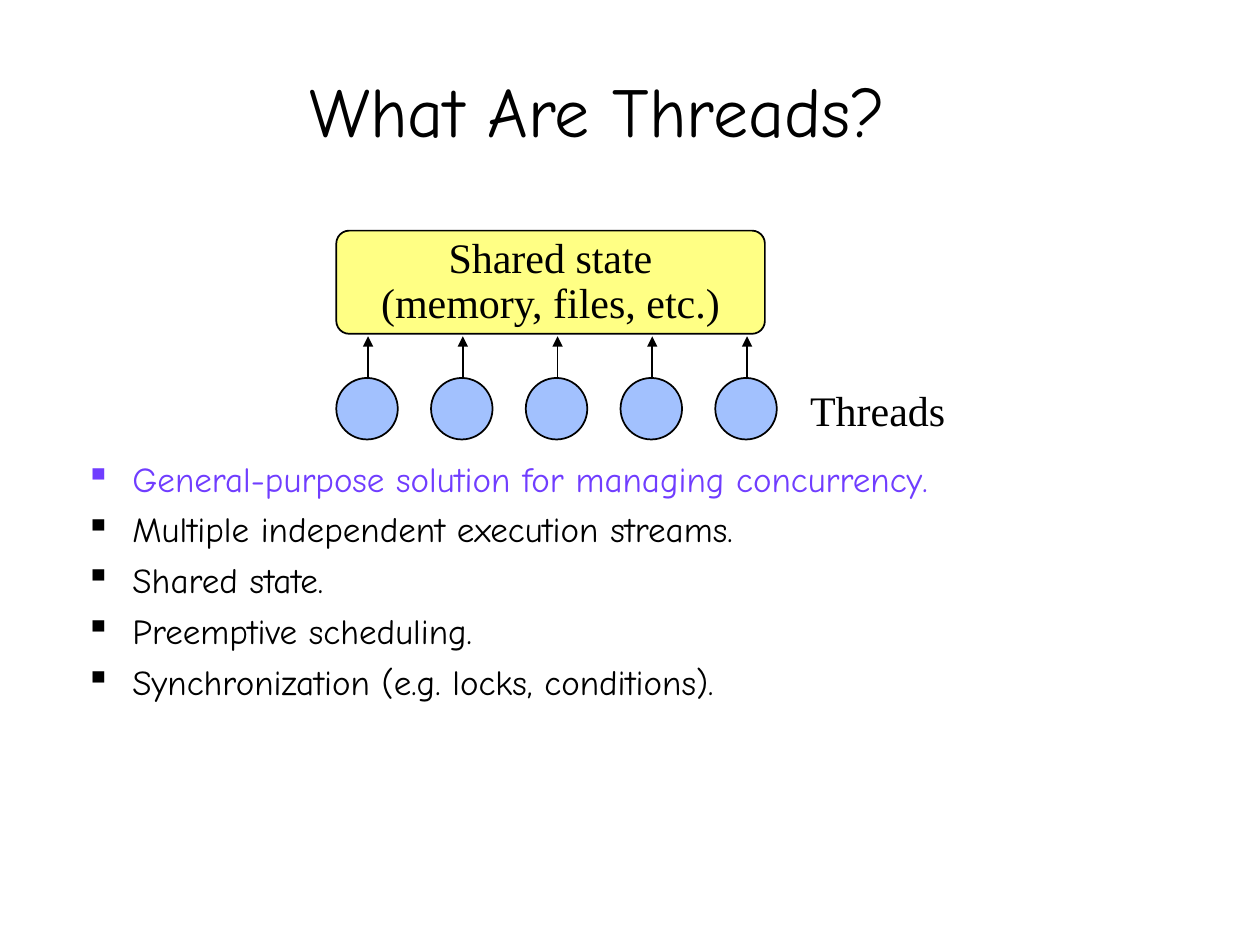
"""Build the slide that explains threads and their shared state."""
from dataclasses import dataclass

from lxml import etree
from pptx import Presentation
from pptx import util as u
from pptx.dml.color import RGBColor
from pptx.enum import shapes, text
from pptx.oxml import ns


@dataclass(frozen=True)
class Theme:
    ink: str = "000000"
    accent: str = "703DFF"
    state: str = "FFFF84"
    thread: str = "A2C1FE"
    hand: str = "Comic Neue"
    serif: str = "Times New Roman"
    title: int = 40
    body: int = 20
    label: int = 24
    line: int = 1


LOOK = Theme()
TITLE = "What Are Threads?"
STATE = ["Shared state", "(memory, files, etc.)"]
LABEL = "Threads"
POINTS = [
    ("General-purpose solution for managing concurrency.", LOOK.accent),
    ("Multiple independent execution streams.", LOOK.ink),
    ("Shared state.", LOOK.ink),
    ("Preemptive scheduling.", LOOK.ink),
    ("Synchronization (e.g. locks, conditions).", LOOK.ink),
]
AREAS = {
    "title": (1.47, 0.1, 21.16, 3.07),
    "body": (1.47, 9.09, 22.23, 8.69),
    "state": (6.78, 4.65, 8.64, 2.08),
    "label": (16.08, 7.62, 3.63, 1.27),
}
THREADS = {"count": 5, "left": 6.78, "top": 7.62, "size": 1.24, "step": 1.91}
ARROW = {"left": 7.42, "start": 7.65, "end": 6.78}
CENTER = text.PP_ALIGN.CENTER


def tint(code):
    return RGBColor.from_string(code)


def lengths(*sizes):
    return [u.Cm(size) for size in sizes]


def child(parent, tag, **attrs):
    return etree.SubElement(parent, ns.qn(tag), attrs)


def write(frame, lines, font, size, align=None, bullet=None, gap=None, lead=None):
    for i, (words, color) in enumerate(lines):
        para = frame.paragraphs[0] if i == 0 else frame.add_paragraph()
        if bullet:
            props = para._p.get_or_add_pPr()
            props.set("marL", str(u.Cm(0.95)))
            props.set("indent", str(u.Cm(-0.95)))
            child(child(props, "a:buClr"), "a:srgbClr", val=color)
            child(props, "a:buChar", char=bullet)
        para.alignment = align
        if lead:
            para.line_spacing = lead
        if gap and i:
            para.space_before = u.Pt(gap)
        run = para.add_run()
        run.text = words
        run.font.name = font
        run.font.size = u.Pt(size)
        run.font.color.rgb = tint(color)


def add_text(slide, area, lines, font, size, anchor=text.MSO_ANCHOR.TOP, **style):
    frame = slide.shapes.add_textbox(*lengths(*area)).text_frame
    frame.word_wrap = True
    frame.vertical_anchor = anchor
    write(frame, lines, font, size, **style)


def add_form(slide, kind, area, fill):
    form = slide.shapes.add_shape(kind, *lengths(*area))
    form.shadow.inherit = False
    form.fill.solid()
    form.fill.fore_color.rgb = tint(fill)
    form.line.color.rgb = tint(LOOK.ink)
    form.line.width = u.Pt(LOOK.line)
    return form


def add_state(slide):
    form = add_form(slide, shapes.MSO_SHAPE.ROUNDED_RECTANGLE, AREAS["state"], LOOK.state)
    form.adjustments[0] = 0.125
    frame = form.text_frame
    frame.word_wrap = False
    frame.vertical_anchor = text.MSO_ANCHOR.MIDDLE
    lines = [(words, LOOK.ink) for words in STATE]
    write(frame, lines, LOOK.serif, LOOK.label, align=CENTER, lead=0.9)


def add_arrow(slide, left):
    ends = lengths(left, ARROW["start"], left, ARROW["end"])
    arrow = slide.shapes.add_connector(shapes.MSO_CONNECTOR.STRAIGHT, *ends)
    arrow.line.color.rgb = tint(LOOK.ink)
    arrow.line.width = u.Pt(LOOK.line)
    child(arrow.line._get_or_add_ln(), "a:tailEnd", type="triangle")
    child(arrow._element.spPr, "a:effectLst")


def main():
    deck = Presentation()
    deck.slide_width, deck.slide_height = lengths(25.4, 19.05)
    slide = deck.slides.add_slide(deck.slide_layouts[6])
    add_text(slide, AREAS["title"], [(TITLE, LOOK.ink)], LOOK.hand, LOOK.title,
             anchor=text.MSO_ANCHOR.BOTTOM, align=CENTER)
    add_text(slide, AREAS["body"], POINTS, LOOK.hand, LOOK.body, bullet="▪", gap=5)
    add_state(slide)
    shifts = [i * THREADS["step"] for i in range(THREADS["count"])]
    size = THREADS["size"]
    for shift in shifts:
        area = (THREADS["left"] + shift, THREADS["top"], size, size)
        add_form(slide, shapes.MSO_SHAPE.OVAL, area, LOOK.thread)
    add_text(slide, AREAS["label"], [(LABEL, LOOK.ink)], LOOK.serif, LOOK.label)
    for shift in shifts:
        add_arrow(slide, ARROW["left"] + shift)
    deck.save("out.pptx")


if __name__ == "__main__":
    main()
